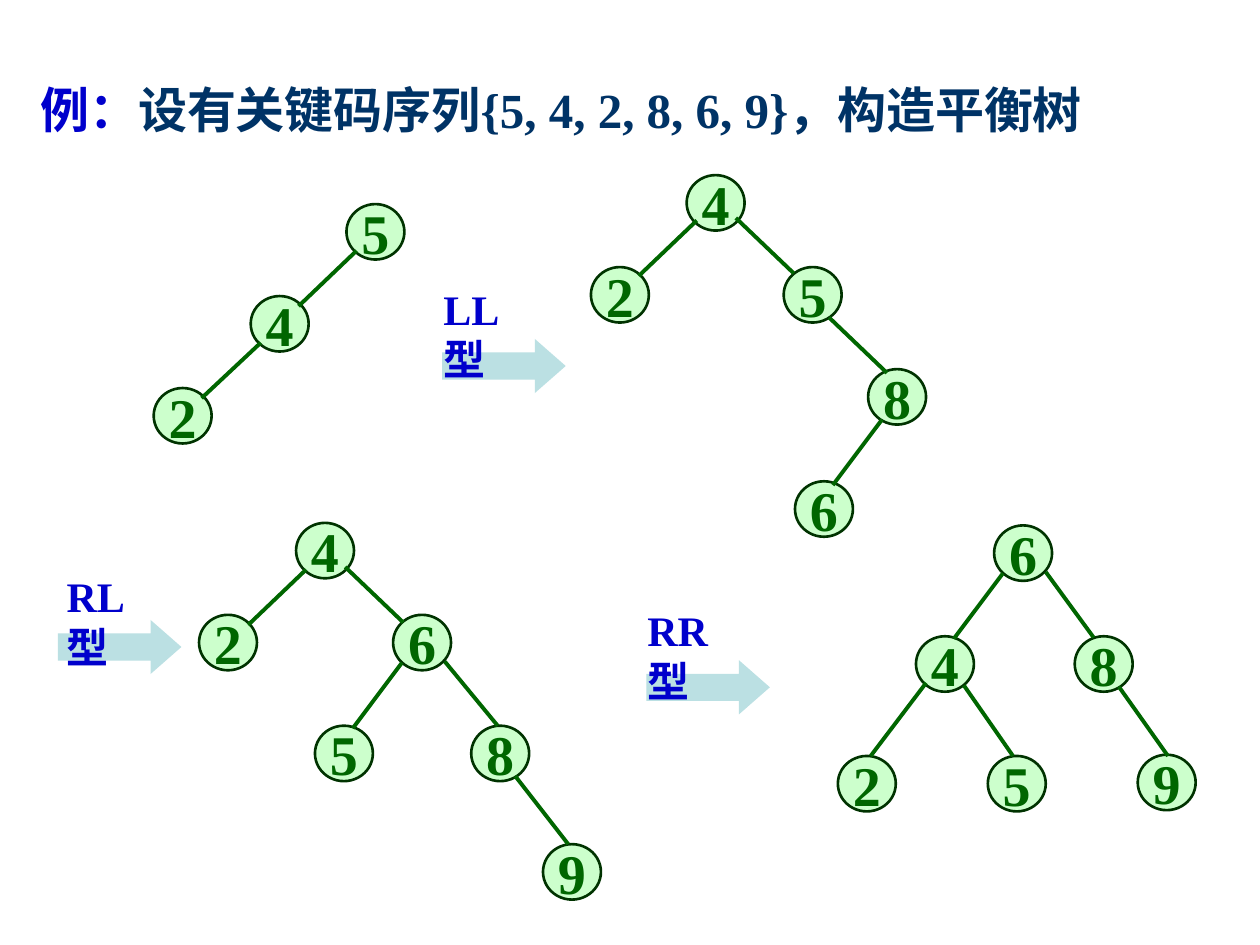
from lxml import etree
from pptx import Presentation
from pptx.dml.color import RGBColor
from pptx.enum.shapes import MSO_CONNECTOR, MSO_SHAPE
from pptx.enum.text import MSO_ANCHOR, MSO_AUTO_SIZE, PP_ALIGN
from pptx.oxml.ns import qn
from pptx.util import Inches, Pt

OVAL, RIGHT_ARROW = MSO_SHAPE.OVAL, MSO_SHAPE.RIGHT_ARROW
STRAIGHT = MSO_CONNECTOR.STRAIGHT
MIDDLE, CENTER = MSO_ANCHOR.MIDDLE, PP_ALIGN.CENTER
FIT_SHAPE = MSO_AUTO_SIZE.SHAPE_TO_FIT_TEXT
NODE_W, NODE_H = 0.46, 0.44
BLUE = "0000CC"


def color(hex_value):
    return RGBColor.from_string(hex_value)


def set_font(font, size, hex_value):
    font.name = "Times New Roman"
    font.size = Pt(size)
    font.bold = True
    font.color.rgb = color(hex_value)


prs = Presentation()
prs.slide_width, prs.slide_height = Inches(10), Inches(7.5)
slide = prs.slides.add_slide(prs.slide_layouts[6])
shapes = slide.shapes

# Title
title = shapes.add_textbox(Inches(0.32), Inches(0.58), Inches(9.56), Inches(0.57)).text_frame
title.word_wrap = True
title.auto_size = FIT_SHAPE
title.margin_left = title.margin_right = 0
for words, hex_value in (("例：", BLUE),
                         ("设有关键码序列{5, 4, 2, 8, 6, 9}，构造平衡树", "003366")):
    run = title.paragraphs[0].add_run()
    run.text = words
    set_font(run.font, 28, hex_value)

# Rotation steps: label, arrow left and top, label left and top
rotations = [
    ("LL型", 3.51, 2.69, 3.42, 2.2),
    ("RL型", 0.46, 4.92, 0.43, 4.48),
    ("RR型", 5.13, 5.24, 5.04, 4.75),
]
for name, arrow_x, arrow_y, label_x, label_y in rotations:
    arrow = shapes.add_shape(RIGHT_ARROW, Inches(arrow_x), Inches(arrow_y),
                             Inches(0.98), Inches(0.43))
    arrow.adjustments[0], arrow.adjustments[1] = 0.5, 0.57
    arrow.shadow.inherit = False
    arrow.fill.solid()
    arrow.fill.fore_color.rgb = color("BBE0E3")
    arrow.line.fill.background()

    label = shapes.add_textbox(Inches(label_x), Inches(label_y),
                               Inches(1.03), Inches(0.5)).text_frame
    label.word_wrap = True
    label.auto_size = FIT_SHAPE
    label.margin_right = Inches(0.2)  # keeps 型 on its own line
    label.text = name
    set_font(label.paragraphs[0].font, 24, BLUE)

# Each tree: nodes as (key, left, top), edges as (x1, y1, x2, y2)
trees = [
    # Inserted 5, 4, 2
    ([(5, 2.75, 1.62), (4, 1.99, 2.35), (2, 1.22, 3.08)],
     [(2.83, 1.99, 2.37, 2.43), (2.07, 2.72, 1.6, 3.16)]),
    # After LL, inserted 8, 6
    ([(4, 5.45, 1.39), (2, 4.69, 2.12), (5, 6.22, 2.12), (8, 6.89, 2.93), (6, 6.31, 3.82)],
     [(5.53, 1.75, 5.07, 2.19), (5.84, 1.73, 6.3, 2.17),
      (6.58, 2.52, 7.04, 2.96), (7, 3.33, 6.61, 3.85)]),
    # After RL, inserted 9
    ([(4, 2.35, 4.15), (2, 1.58, 4.88), (6, 3.12, 4.88),
      (5, 2.5, 5.76), (8, 3.74, 5.76), (9, 4.31, 6.7)],
     [(2.43, 4.52, 1.97, 4.96), (2.74, 4.5, 3.2, 4.94), (3.19, 5.26, 2.8, 5.78),
      (3.53, 5.25, 3.95, 5.76), (4.09, 6.16, 4.51, 6.7)]),
    # After RR, balanced
    ([(6, 7.89, 4.17), (4, 7.27, 5.05), (8, 8.53, 5.05),
      (2, 6.65, 6), (5, 7.84, 6), (9, 9.03, 5.99)],
     [(7.96, 4.55, 7.57, 5.07), (8.3, 4.54, 8.68, 5.06), (7.35, 5.42, 6.91, 6),
      (7.65, 5.44, 8.04, 6), (8.88, 5.45, 9.27, 6)]),
]
for nodes, edges in trees:
    for key, left, top in nodes:
        node = shapes.add_shape(OVAL, Inches(left), Inches(top),
                                Inches(NODE_W), Inches(NODE_H))
        node.shadow.inherit = False
        node.fill.solid()
        node.fill.fore_color.rgb = color("CCFFCC")
        node.line.color.rgb = color("003300")
        node.line.width = Pt(1.5)
        frame = node.text_frame
        frame.word_wrap = False
        frame.vertical_anchor = MIDDLE
        frame.text = str(key)
        frame.paragraphs[0].alignment = CENTER
        set_font(frame.paragraphs[0].font, 32, "006600")
    for edge in edges:
        branch = shapes.add_connector(STRAIGHT, *map(Inches, edge))
        branch.line.color.rgb = color("006600")
        branch.line.width = Pt(2.25)
        etree.SubElement(branch._element.spPr, qn("a:effectLst"))

prs.save("out.pptx")
